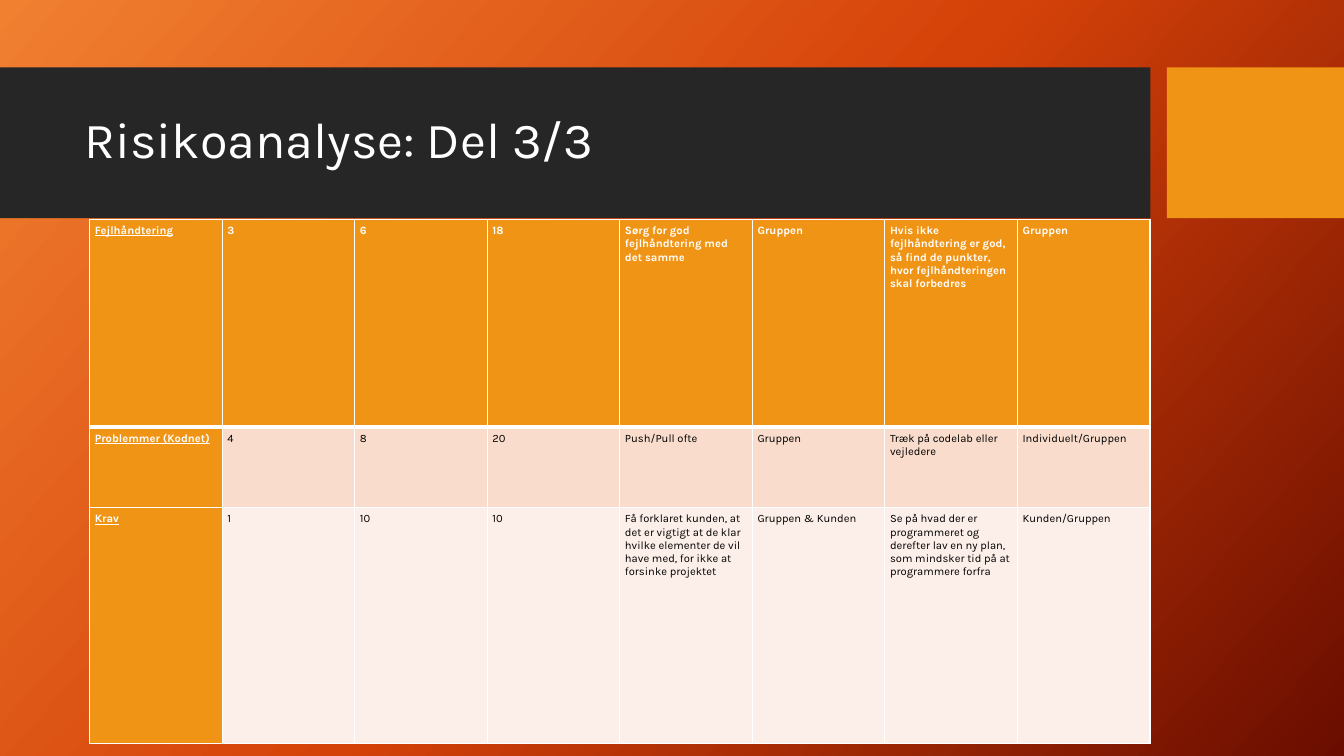
import pptx
import pptx.util
from lxml import etree
from pptx.dml.color import RGBColor
from pptx.enum.shapes import MSO_SHAPE
from pptx.enum.text import MSO_ANCHOR
from pptx.oxml.ns import qn
from pptx.util import Cm

FONT = "Karla"
WHITE = RGBColor(0xFF, 0xFF, 0xFF)
BLACK = RGBColor(0x00, 0x00, 0x00)
CHARCOAL = RGBColor(0x26, 0x26, 0x26)
ORANGE = RGBColor(0xF0, 0x94, 0x15)
PEACH = RGBColor(0xF9, 0xDC, 0xCC)
PALE_PEACH = RGBColor(0xFC, 0xEE, 0xE8)
GRADIENT = [
    (0, RGBColor(0xF1, 0x80, 0x31)),
    (50, RGBColor(0xD5, 0x42, 0x09)),
    (100, RGBColor(0x6A, 0x0D, 0x00)),
]

RISKS = [
    ["Fejlhåndtering", "3", "6", "18",
     "Sørg for god fejlhåndtering med det samme", "Gruppen",
     "Hvis ikke fejlhåndtering er god, så find de punkter, "
     "hvor fejlhåndteringen skal forbedres", "Gruppen"],
    ["Problemmer (Kodnet)", "4", "8", "20", "Push/Pull ofte", "Gruppen",
     "Træk på codelab eller vejledere", "Individuelt/Gruppen"],
    ["Krav", "1", "10", "10",
     "Få forklaret kunden, at det er vigtigt at de klar hvilke elementer "
     "de vil have med, for ikke at forsinke projektet", "Gruppen & Kunden",
     "Se på hvad der er programmeret og derefter lav en ny plan, "
     "som mindsker tid på at programmere forfra", "Kunden/Gruppen"],
]
ROW_HEIGHTS = [Cm(5.23), Cm(2.03), Cm(5.94)]
ROW_FILLS = [ORANGE, PEACH, PALE_PEACH]
COLUMN_WIDTH = Cm(3.34)


def add_color(parent, color):
    etree.SubElement(parent, qn("a:srgbClr"), val=str(color))


def set_gradient_background(slide):
    fill = slide.background.fill
    fill.gradient()
    fill.gradient_angle = 360 - 42
    stops = slide.element.find(".//" + qn("a:gsLst"))
    for stop in list(stops):
        stops.remove(stop)
    for position, color in GRADIENT:
        add_color(etree.SubElement(stops, qn("a:gs"), pos=str(position * 1000)), color)


def add_band(slide, left, width, color):
    band = slide.shapes.add_shape(MSO_SHAPE.RECTANGLE, left, Cm(1.7), width, Cm(3.8))
    band.shadow.inherit = False
    band.fill.solid()
    band.fill.fore_color.rgb = color
    band.line.fill.background()


def format_run(run, size, color, bold=False, underline=False):
    font = run.font
    font.name = FONT
    font.size = pptx.util.Pt(size)
    font.color.rgb = color
    font.bold = bold
    font.underline = underline


def add_title(slide, text):
    title = slide.shapes.add_textbox(Cm(1.88), Cm(2.08), Cm(26.7), Cm(3))
    text_frame = title.text_frame
    text_frame.word_wrap = True
    text_frame.vertical_anchor = MSO_ANCHOR.MIDDLE
    text_frame.text = text
    paragraph = text_frame.paragraphs[0]
    paragraph.line_spacing = 0.9
    format_run(paragraph.runs[0], 36, WHITE)


def set_cell_borders(cell, widths):
    properties = cell._tc.get_or_add_tcPr()
    for side, width in widths.items():
        line = etree.SubElement(properties, qn("a:ln" + side), w=str(pptx.util.Pt(width)))
        add_color(etree.SubElement(line, qn("a:solidFill")), WHITE)


def format_cell(cell, text, row, column):
    is_heading = row == 0 or column == 0
    cell.text_frame.text = text
    cell.margin_left = cell.margin_right = Cm(0.13)
    cell.margin_top = cell.margin_bottom = Cm(0.13)
    format_run(cell.text_frame.paragraphs[0].runs[0], 8,
               WHITE if is_heading else BLACK, is_heading, column == 0)
    # The header row is set off by a thicker rule below it
    set_cell_borders(cell, {"L": 1, "R": 1,
                            "T": 3 if row == 1 else 1,
                            "B": 3 if row == 0 else 1})
    cell.fill.solid()
    cell.fill.fore_color.rgb = ORANGE if is_heading else ROW_FILLS[row]


def add_risk_table(slide):
    column_count = len(RISKS[0])
    table = slide.shapes.add_table(
        len(RISKS), column_count, Cm(2.26), Cm(5.53),
        COLUMN_WIDTH * column_count, sum(ROW_HEIGHTS)).table
    table.first_col = True
    for column in table.columns:
        column.width = COLUMN_WIDTH
    for row, texts in enumerate(RISKS):
        table.rows[row].height = ROW_HEIGHTS[row]
        for column, text in enumerate(texts):
            format_cell(table.cell(row, column), text, row, column)


def main():
    presentation = pptx.Presentation()
    presentation.slide_width = Cm(33.87)
    presentation.slide_height = Cm(19.05)
    slide = presentation.slides.add_slide(presentation.slide_layouts[6])

    # Background and title bands
    set_gradient_background(slide)
    add_band(slide, Cm(0), Cm(28.99), CHARCOAL)
    add_band(slide, Cm(29.41), Cm(4.46), ORANGE)

    # Title and risk table
    add_title(slide, "Risikoanalyse: Del 3/3")
    add_risk_table(slide)

    presentation.save("out.pptx")


main()
